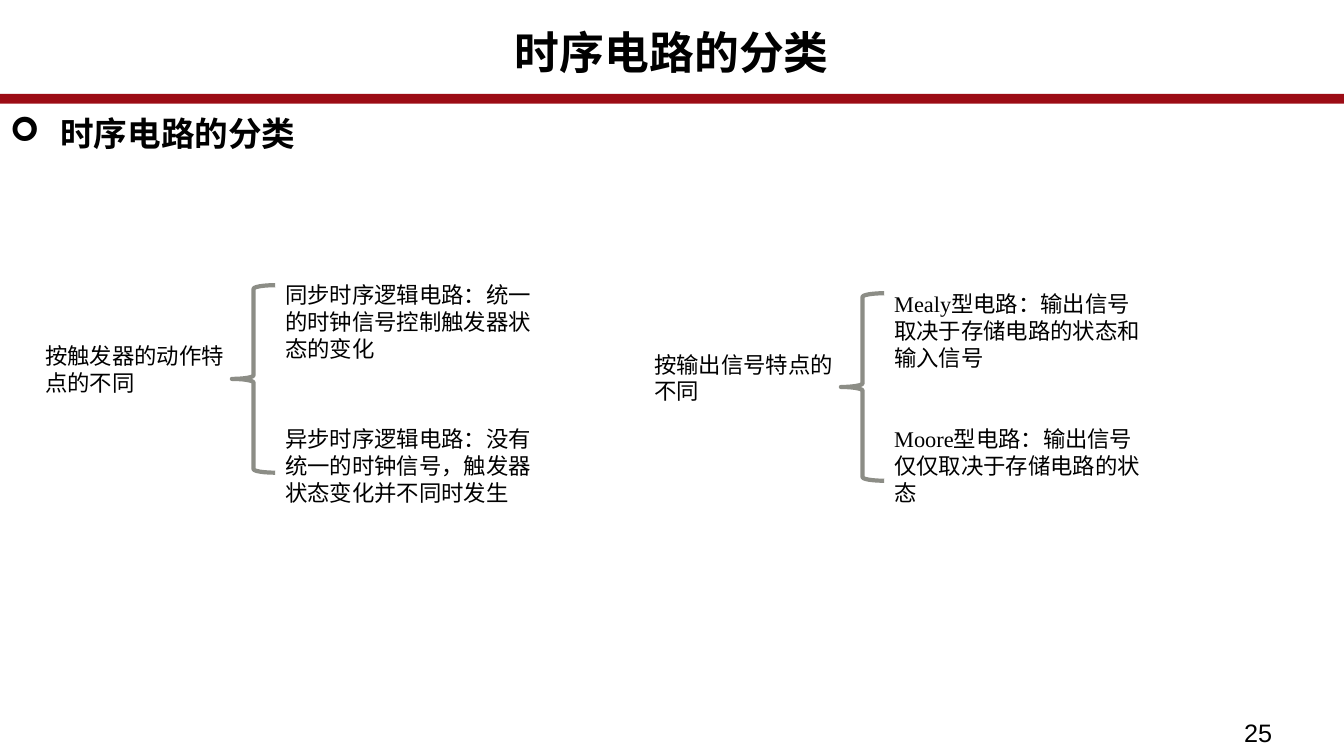
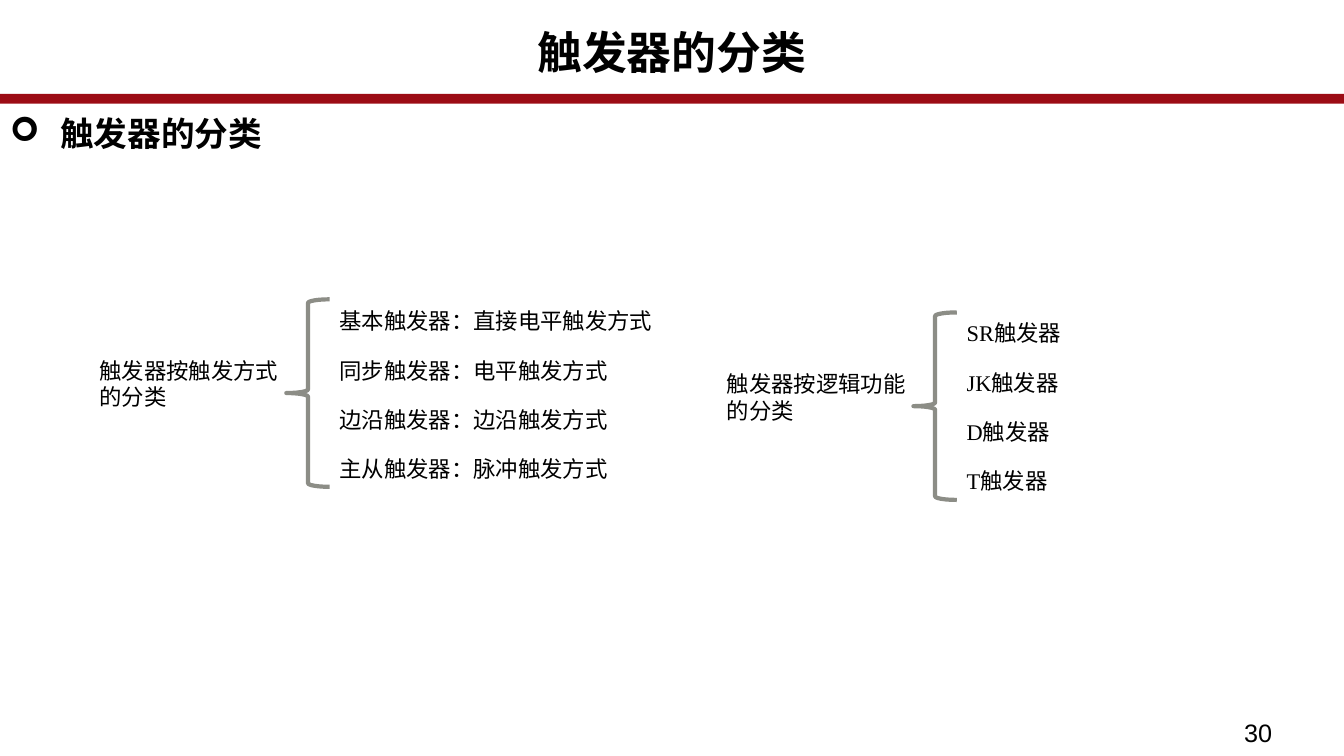
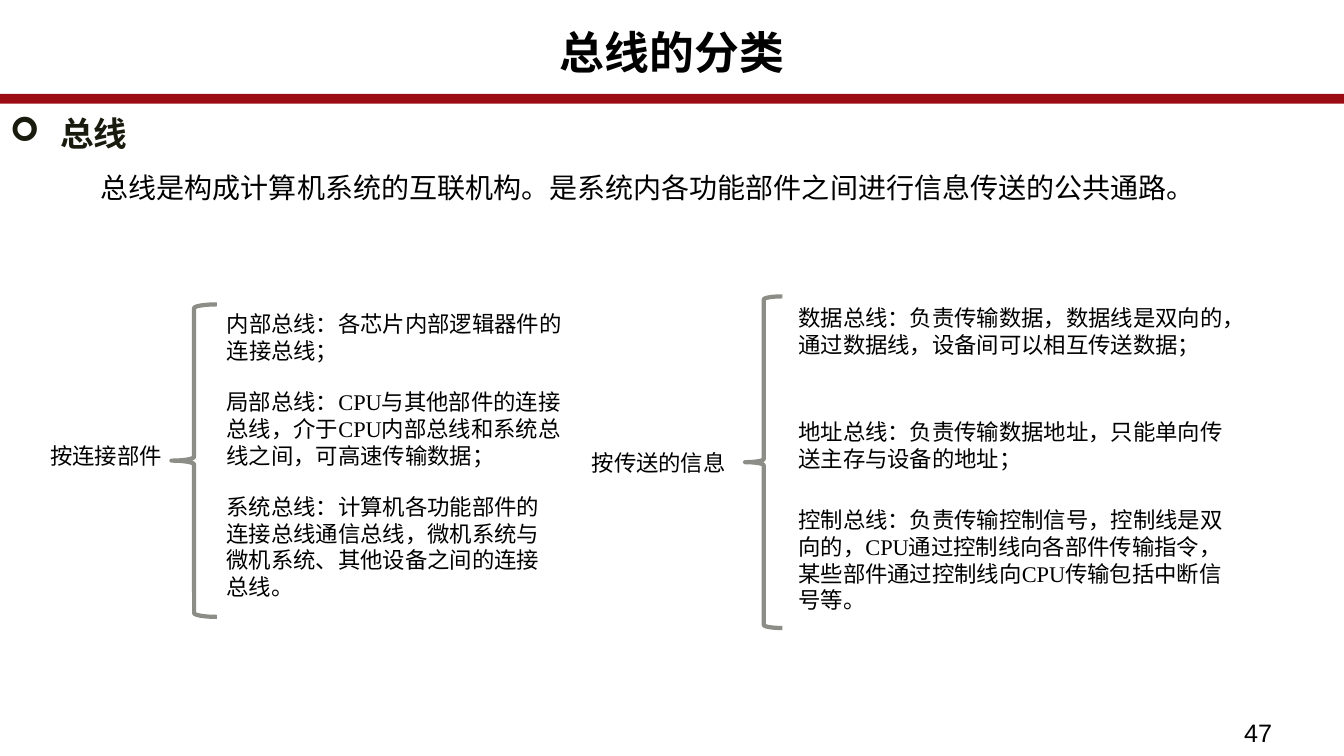
from dataclasses import dataclass

from lxml import etree
from pptx import Presentation
from pptx.dml.color import RGBColor
from pptx.enum import shapes, text
from pptx.oxml import ns
from pptx.util import Inches, Pt

BLACK = RGBColor(0x00, 0x00, 0x00)
DARK_OLIVE = RGBColor(0x19, 0x1B, 0x0E)
CRIMSON = RGBColor(0x9C, 0x0C, 0x15)
BRACE_GREY = RGBColor(0x8C, 0x8D, 0x86)
SERIF = "Times New Roman"
SANS = "Arial"
CJK_SANS = "Noto Sans CJK SC"
SLIDE_WIDTH, SLIDE_HEIGHT = 13.33, 7.5
LINE_HEIGHT = 0.27
ROW_STEP = 0.49


@dataclass(frozen=True)
class Item:
    """One branch of a classification; top and width are in inches."""
    text: str
    top: float
    width: float
    lines: int


@dataclass(frozen=True)
class Classification:
    """A label, a left brace and its branches."""
    label: str
    label_left: float
    label_top: float
    label_lines: int
    brace: tuple[float, float, float, float]
    items_left: float
    items: list[Item]
    label_font: str = SERIF


@dataclass(frozen=True)
class Page:
    title: str
    heading: str
    number: int
    groups: list[Classification]
    heading_color: RGBColor = BLACK
    intro: str = ""


def two_line_group(label: str, left: float, top: float, items: list[Item]) -> Classification:
    """Standard arrangement around a brace, with a label of two lines."""
    return Classification(label, left, top + 0.52, 2, (left + 1.95, top, 0.43, 1.86),
                          left + 2.38, items)


def single_line_items(names: list[str], top: float) -> list[Item]:
    widths = (3.43, 3.2, 3.2, 3.1)
    return [Item(name, top + row * ROW_STEP, width, 1)
            for row, (name, width) in enumerate(zip(names, widths))]


PAGES = [
    Page("时序电路的分类", "时序电路的分类", 25, [
        two_line_group("按触发器的动作特点的不同", 0.35, 2.83, [
            Item("同步时序逻辑电路：统一的时钟信号控制触发器状态的变化", 2.74, 2.71, 3),
            Item("异步时序逻辑电路：没有统一的时钟信号，触发器状态变化并不同时发生", 4.17, 2.71, 3),
        ]),
        two_line_group("按输出信号特点的不同", 6.39, 2.91, [
            Item("Mealy型电路：输出信号取决于存储电路的状态和输入信号", 2.83, 2.71, 3),
            Item("Moore型电路：输出信号仅仅取决于存储电路的状态", 4.17, 2.71, 3),
        ]),
    ]),
    Page("触发器的分类", "触发器的分类", 30, [
        two_line_group("触发器按触发方式的分类", 0.89, 2.97, single_line_items([
            "基本触发器：直接电平触发方式", "同步触发器：电平触发方式",
            "边沿触发器：边沿触发方式", "主从触发器：脉冲触发方式"], 3)),
        two_line_group("触发器按逻辑功能的分类", 7.11, 3.1, single_line_items([
            "SR触发器", "JK触发器", "D触发器", "T触发器"], 3.12)),
    ]),
    Page("总线的分类", "总线", 47, [
        Classification("按连接部件", 0.4, 4.34, 1, (1.7, 3.02, 0.45, 3.1), 2.15, [
            Item("内部总线：各芯片内部逻辑器件的连接总线；", 3.03, 3.59, 2),
            Item("局部总线：CPU与其他部件的连接总线，介于CPU内部总线和系统总线之间，"
                 "可高速传输数据；", 3.8, 3.64, 3),
            Item("系统总线：计算机各功能部件的连接总线通信总线，微机系统与微机系统、"
                 "其他设备之间的连接总线。", 4.84, 3.5, 4),
        ]),
        Classification("按传送的信息", 5.77, 4.41, 1, (7.39, 2.94, 0.37, 3.29), 7.82, [
            Item("数据总线：负责传输数据，数据线是双向的，通过数据线，"
                 "设备间可以相互传送数据；", 2.97, 4.78, 2),
            Item("地址总线：负责传输数据地址，只能单向传送主存与设备的地址；", 4.1, 4.52, 2),
            Item("控制总线：负责传输控制信号，控制线是双向的，CPU通过控制线向各部件传输指令，"
                 "某些部件通过控制线向CPU传输包括中断信号等。", 4.97, 4.52, 4),
        ], CJK_SANS),
    ], DARK_OLIVE, "\t总线是构成计算机系统的互联机构。是系统内各功能部件之间进行信息传送的公共通路。"),
]


def add_text(slide, content: str, left: float, top: float, width: float, height: float,
             size: float, font: str = SERIF, color: RGBColor = BLACK, bold: bool = False):
    """Add a wrapped, top-anchored text box and return its paragraph."""
    frame = slide.shapes.add_textbox(
        Inches(left), Inches(top), Inches(width), Inches(height)).text_frame
    frame.word_wrap = True
    frame.vertical_anchor = text.MSO_ANCHOR.TOP
    paragraph = frame.paragraphs[0]
    paragraph.text = content
    paragraph.font.size = Pt(size)
    paragraph.font.name = font
    paragraph.font.color.rgb = color
    paragraph.font.bold = bold
    return paragraph


def insert_property(paragraph, tag: str, **attributes: str):
    """Put a bullet or tab element ahead of the paragraph's font element."""
    properties = paragraph._p.get_or_add_pPr()
    element = etree.Element(ns.qn(tag), attributes)
    properties.find(ns.qn("a:defRPr")).addprevious(element)
    return element


def add_frame(slide, page: Page) -> None:
    """Draw the band, title, heading and page number that all slides share."""
    band = slide.shapes.add_shape(shapes.MSO_SHAPE.ROUNDED_RECTANGLE, Inches(-0.01),
                                  Inches(0.95), Inches(13.34), Inches(0.06))
    band.shadow.inherit = False
    band.fill.solid()
    band.fill.fore_color.rgb = CRIMSON
    band.line.color.rgb = CRIMSON
    band.line.width = Pt(2.75)

    title = add_text(slide, page.title, 0, 0.26, SLIDE_WIDTH, 0.75, 32, bold=True)
    title.alignment = text.PP_ALIGN.CENTER
    title.line_spacing = 0.89

    heading = add_text(slide, page.heading, 0, 1.1, 6.38, 0.51, 24,
                       color=page.heading_color, bold=True)
    heading.line_spacing = 0.94
    heading.space_after = Pt(2)
    properties = heading._p.get_or_add_pPr()
    properties.set("marL", str(Inches(0.5)))
    properties.set("indent", str(Inches(-0.5)))
    insert_property(heading, "a:buFont", typeface="Wingdings")
    insert_property(heading, "a:buChar", char="➢")

    add_text(slide, str(page.number), 12.24, 7.07, 1.09, 0.44, 18, SANS)


def add_intro(slide, content: str) -> None:
    paragraph = add_text(slide, content, 0.4, 1.64, 11.98, 0.77, 20)
    tabs = insert_property(paragraph, "a:tabLst")
    etree.SubElement(tabs, ns.qn("a:tab"), pos=str(Inches(0.5)), algn="l")


def add_classification(slide, group: Classification) -> None:
    add_text(slide, group.label, group.label_left, group.label_top, 1.99,
             0.1 + group.label_lines * LINE_HEIGHT, 16, group.label_font)
    brace = slide.shapes.add_shape(shapes.MSO_SHAPE.LEFT_BRACE, *map(Inches, group.brace))
    brace.shadow.inherit = False
    brace.fill.background()
    brace.line.color.rgb = BRACE_GREY
    brace.line.width = Pt(3)
    for item in group.items:
        add_text(slide, item.text, group.items_left, item.top, item.width,
                 0.1 + item.lines * LINE_HEIGHT, 16)


def main() -> None:
    presentation = Presentation()
    presentation.slide_width = Inches(SLIDE_WIDTH)
    presentation.slide_height = Inches(SLIDE_HEIGHT)
    for page in PAGES:
        slide = presentation.slides.add_slide(presentation.slide_layouts[6])
        add_frame(slide, page)
        if page.intro:
            add_intro(slide, page.intro)
        for group in page.groups:
            add_classification(slide, group)
    presentation.save("out.pptx")


if __name__ == "__main__":
    main()
